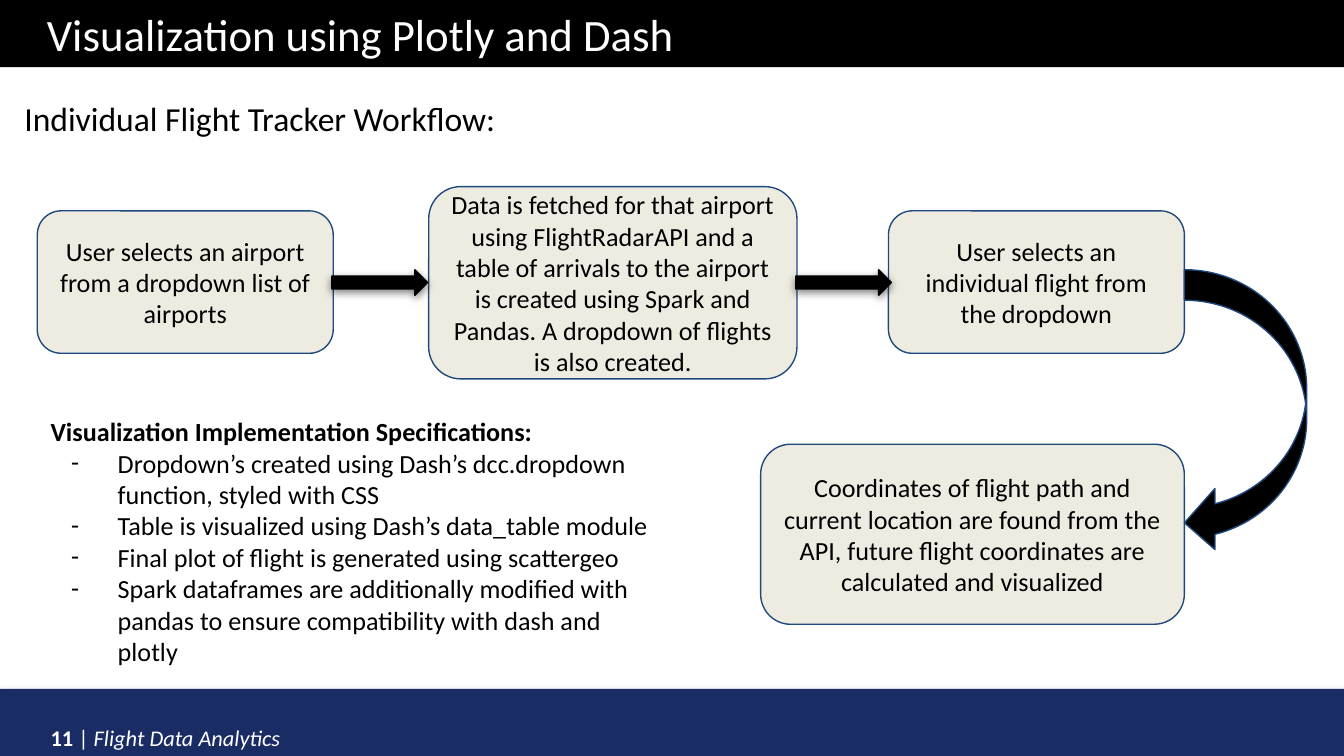
import pptx
import pptx.dml.color
import pptx.enum.shapes
import pptx.enum.text
import pptx.oxml
import pptx.oxml.ns
import pptx.util

Pt = pptx.util.Pt
Kind = pptx.enum.shapes.MSO_SHAPE
Align = pptx.enum.text.PP_ALIGN
Anchor = pptx.enum.text.MSO_ANCHOR

theme = {
    "font": "Calibri",
    "black": "000000", "white": "FFFFFF", "navy": "1A2C64",
    "cream": "EEECE1", "blue": "1F497D", "grey": "808080",
    "title": 24, "heading": 18, "body": 14, "footer": 12,
}


def add_block(kind, box, fill, line=None, shadow=None):
    block = slide.shapes.add_shape(kind, *[Pt(v) for v in box])
    block.shadow.inherit = False
    block.fill.solid()
    block.fill.fore_color.rgb = pptx.dml.color.RGBColor.from_string(theme[fill])
    if line:
        block.line.color.rgb = pptx.dml.color.RGBColor.from_string(theme[line])
        block.line.width = Pt(0.75)
    else:
        block.line.fill.background()
    if shadow:
        color, opacity, blur, distance = shadow
        effects = block._element.spPr.find(pptx.oxml.ns.qn("a:effectLst"))
        effects.append(pptx.oxml.parse_xml(
            f'<a:outerShdw {pptx.oxml.ns.nsdecls("a")} blurRad="{Pt(blur)}" '
            f'dist="{Pt(distance)}" dir="5400000" rotWithShape="0">'
            f'<a:srgbClr val="{theme[color]}"><a:alpha val="{opacity * 1000}"/>'
            '</a:srgbClr></a:outerShdw>'))
    return block


def write(shape, paragraphs, size, color="black", inset=7.2, **layout):
    frame = shape.text_frame
    frame_format = {
        "word_wrap": True, "vertical_anchor": Anchor.TOP,
        "margin_left": Pt(7.2), "margin_right": Pt(7.2),
        "margin_top": Pt(inset), "margin_bottom": Pt(inset),
    }
    for key, value in (frame_format | layout).items():
        setattr(frame, key, value)
    for index, runs in enumerate(paragraphs):
        paragraph = frame.paragraphs[0] if index == 0 else frame.add_paragraph()
        for text, style in runs:
            run = paragraph.add_run()
            run.text = text
            font_format = {"name": theme["font"], "size": Pt(theme[size])} | style
            for key, value in font_format.items():
                setattr(run.font, key, value)
            run.font.color.rgb = pptx.dml.color.RGBColor.from_string(theme[color])
    return frame.paragraphs


deck = pptx.Presentation()
deck.slide_width, deck.slide_height = Pt(720), Pt(405)
slide = deck.slides.add_slide(deck.slide_layouts[6])

add_block(Kind.RECTANGLE, (0, 0, 720, 36), "black")
title = slide.shapes.add_textbox(Pt(18), Pt(0), Pt(430.5), Pt(36))
write(title, [[("Visualization using Plotly and Dash", {})]], "title", "white", 3.6)

add_block(Kind.RECTANGLE, (0, 369, 720, 36), "navy", shadow=("grey", 35, 5, 1.8))
footer = slide.shapes.add_textbox(Pt(20), Pt(370), Pt(534), Pt(21.6))
footer_line = write(footer, [[
    ("11 ", {"bold": True}), ("| ", {}), ("Flight Data Analytics", {"italic": True}),
]], "footer", "white", 3.6)[0]
footer_line.line_spacing = 2.0

heading = slide.shapes.add_textbox(Pt(6), Pt(45.5), Pt(705.5), Pt(315))
write(heading, [[("Individual Flight Tracker Workflow:", {})]], "heading")

steps = [
    ((20, 113, 158.5, 76.3), "User selects an airport from a dropdown list of airports"),
    ((229.7, 100, 197.3, 103),
     "Data is fetched for that airport using FlightRadarAPI and a table of arrivals "
     "to the airport is created using Spark and Pandas. A dropdown of flights is also created."),
    ((476, 113, 158.5, 76.3), "User selects an individual flight from the dropdown"),
    ((407.5, 238, 227, 96.5),
     "Coordinates of flight path and current location are found from the API, "
     "future flight coordinates are calculated and visualized"),
]
for box, text in steps:
    step = add_block(Kind.ROUNDED_RECTANGLE, box, "cream", "blue")
    step.adjustments[0] = 0.167
    write(step, [[(text, {})]], "body", vertical_anchor=Anchor.MIDDLE)[0].alignment = Align.CENTER

for left in (177.8, 426.3):
    add_block(Kind.RIGHT_ARROW, (left, 144.5, 51.3, 13.7), "black", "black",
              ("black", 50, 4.5, 1.5))

return_arrow = add_block(Kind.CURVED_LEFT_ARROW, (634.5, 144.5, 65.5, 152), "black", "blue")
for index, value in enumerate((0.25, 0.5, 0.25)):
    return_arrow.adjustments[index] = value

specifications = [
    "Dropdown’s created using Dash’s dcc.dropdown function, styled with CSS",
    "Table is visualized using Dash’s data_table module",
    "Final plot of flight is generated using scattergeo",
    "Spark dataframes are additionally modified with pandas to ensure compatibility "
    "with dash and plotly",
]
notes = slide.shapes.add_textbox(Pt(20), Pt(215.5), Pt(342.7), Pt(128))
lines = write(notes, [
    [("Visualization Implementation Specifications:", {"bold": True})],
    *[[(text, {})] for text in specifications],
], "body")
for line in lines[1:]:
    properties = line._p.get_or_add_pPr()
    properties.set("marL", str(Pt(36)))
    properties.set("indent", str(-Pt(25)))
    for bullet in (f'<a:buClr {{}}><a:srgbClr val="{theme["black"]}"/></a:buClr>',
                   f'<a:buFont {{}} typeface="{theme["font"]}"/>',
                   '<a:buChar {} char="-"/>'):
        properties.append(pptx.oxml.parse_xml(bullet.format(pptx.oxml.ns.nsdecls("a"))))

deck.save("out.pptx")
